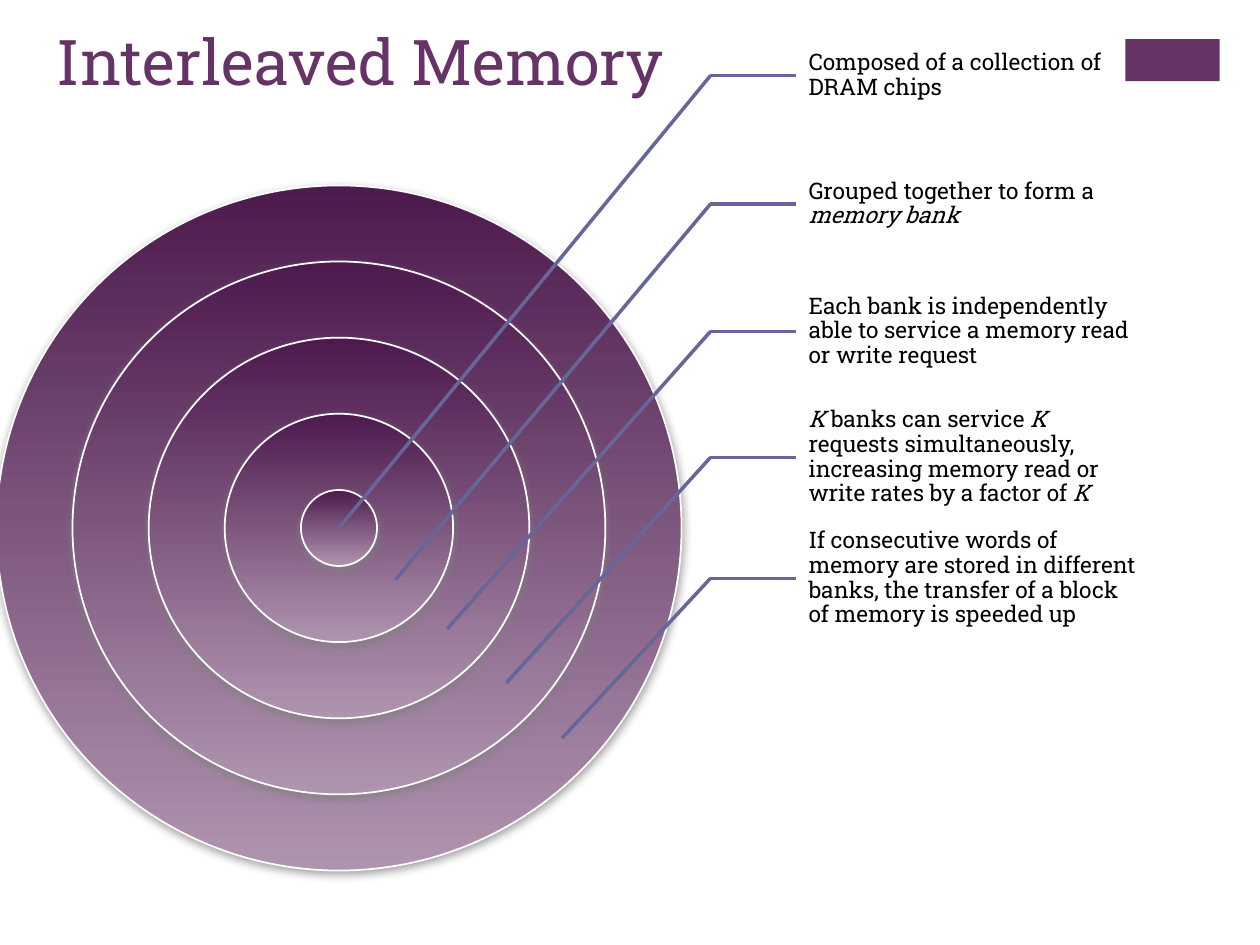
import pptx
import pptx.chart.data
import pptx.dml.color
import pptx.enum.shapes
import pptx.enum.text
import pptx.oxml
import pptx.oxml.ns
import pptx.util

Pt = pptx.util.Pt
FONT = "Roboto Slab"
COLORS = {"plum": "663366", "dark": "4D1A4D", "light": "AF94AF",
          "line": "666699", "shade": "808080", "text": "000000",
          "white": "FFFFFF"}

# Content: each note has its middle height, the tip of its leader line,
# and its runs as (text, italic)
TITLE = "Interleaved Memory"
NOTES = [
    (43.2, (193.7, 301.7),
     [("Composed of a collection of DRAM chips", False)]),
    (116.6, (226, 331.2),
     [("Grouped together to form a ", False), ("memory bank", True)]),
    (189.4, (255.6, 359.3),
     [("Each bank is independently able to service a memory read "
       "or write request", False)]),
    (261.4, (289.4, 390.2),
     [("K", True), (" banks can service ", False), ("K", True),
      (" requests simultaneously, increasing memory read or write rates "
       "by a factor of ", False), ("K", True)]),
    (330.5, (321.1, 421.9),
     [("If consecutive words of memory are stored in different banks, "
       "the transfer of a block of memory is speeded up", False)]),
]

# Layout
CENTER = (193.7, 301.7)
CORE = 43.5                      # width of the inner disc
RINGS = (9, 7, 5, 3, 1)          # disc widths, in cores
BEND = 406                       # where leader lines turn
NOTE_LEFT, NOTE_W, NOTE_H = 455, 196, 69


def rgb(name):
    return pptx.dml.color.RGBColor.from_string(COLORS[name])


def add_disc(slide, size):
    left, top = (mid - size / 2 for mid in CENTER)
    disc = slide.shapes.add_shape(
        pptx.enum.shapes.MSO_SHAPE.OVAL, Pt(left), Pt(top), Pt(size), Pt(size))
    disc.fill.gradient()
    disc.fill.gradient_angle = 270
    for stop, name in zip(disc.fill.gradient_stops, ("dark", "light")):
        stop.color.rgb = rgb(name)
    disc.line.color.rgb = rgb("white")
    disc.line.width = Pt(1)
    # Soft shadow straight below
    disc.shadow.inherit = False
    effects = disc._element.spPr.find(pptx.oxml.ns.qn("a:effectLst"))
    effects.append(pptx.oxml.parse_xml(
        f'<a:outerShdw {pptx.oxml.ns.nsdecls("a")} blurRad="{Pt(5)}" '
        f'dist="{Pt(2)}" dir="5400000" rotWithShape="0">'
        f'<a:srgbClr val="{COLORS["shade"]}"><a:alpha val="75000"/>'
        '</a:srgbClr></a:outerShdw>'))


def add_line(slide, start, end):
    line = slide.shapes.add_connector(
        pptx.enum.shapes.MSO_CONNECTOR.STRAIGHT,
        *(Pt(value) for value in (*start, *end)))
    line.line.color.rgb = rgb("line")
    line.line.width = Pt(2)
    line._element.spPr.append(pptx.oxml.parse_xml(
        f'<a:effectLst {pptx.oxml.ns.nsdecls("a")}/>'))
    return line


def add_note(slide, middle, runs):
    box = slide.shapes.add_textbox(
        Pt(NOTE_LEFT), Pt(middle - NOTE_H / 2), Pt(NOTE_W), Pt(NOTE_H))
    frame = box.text_frame
    frame.word_wrap = True
    frame.vertical_anchor = pptx.enum.text.MSO_ANCHOR.MIDDLE
    frame.margin_left = Pt(7.2)
    frame.margin_right = frame.margin_top = frame.margin_bottom = Pt(1.44)
    para = frame.paragraphs[0]
    para.line_spacing = 0.9
    para.font.name, para.font.size = FONT, Pt(13)
    para.font.color.rgb = rgb("text")
    for text, italic in runs:
        run = para.add_run()
        run.text = text
        if italic:
            run.font.italic = True
    return box


def main():
    deck = pptx.Presentation()
    deck.slide_width, deck.slide_height = Pt(720), Pt(540)
    slide = deck.slides.add_slide(deck.slide_layouts[5])

    # Corner block
    block = slide.shapes.add_shape(
        pptx.enum.shapes.MSO_SHAPE.RECTANGLE, Pt(643), Pt(22.3), Pt(54), Pt(24))
    block.shadow.inherit = False
    block.fill.solid()
    block.fill.fore_color.rgb = rgb("plum")
    block.line.fill.background()

    # Title
    title = slide.shapes.title
    title.left, title.top, title.width, title.height = (
        Pt(25.2), Pt(9.4), Pt(594.7), Pt(87.8))
    title.text_frame.text = TITLE
    title.text_frame.vertical_anchor = pptx.enum.text.MSO_ANCHOR.TOP
    para = title.text_frame.paragraphs[0]
    para.alignment = pptx.enum.text.PP_ALIGN.LEFT
    para.font.name, para.font.size = FONT, Pt(36)
    para.font.color.rgb = rgb("plum")

    # Concentric discs, largest at the back
    for ring in RINGS:
        add_disc(slide, ring * CORE)

    # Notes with their bent leader lines
    for middle, tip, runs in NOTES:
        note = add_note(slide, middle, runs)
        bend = (BEND, middle)
        add_line(slide, bend, (NOTE_LEFT, middle)).end_connect(note, 1)
        add_line(slide, bend, tip)

    deck.save("out.pptx")


if __name__ == "__main__":
    main()
